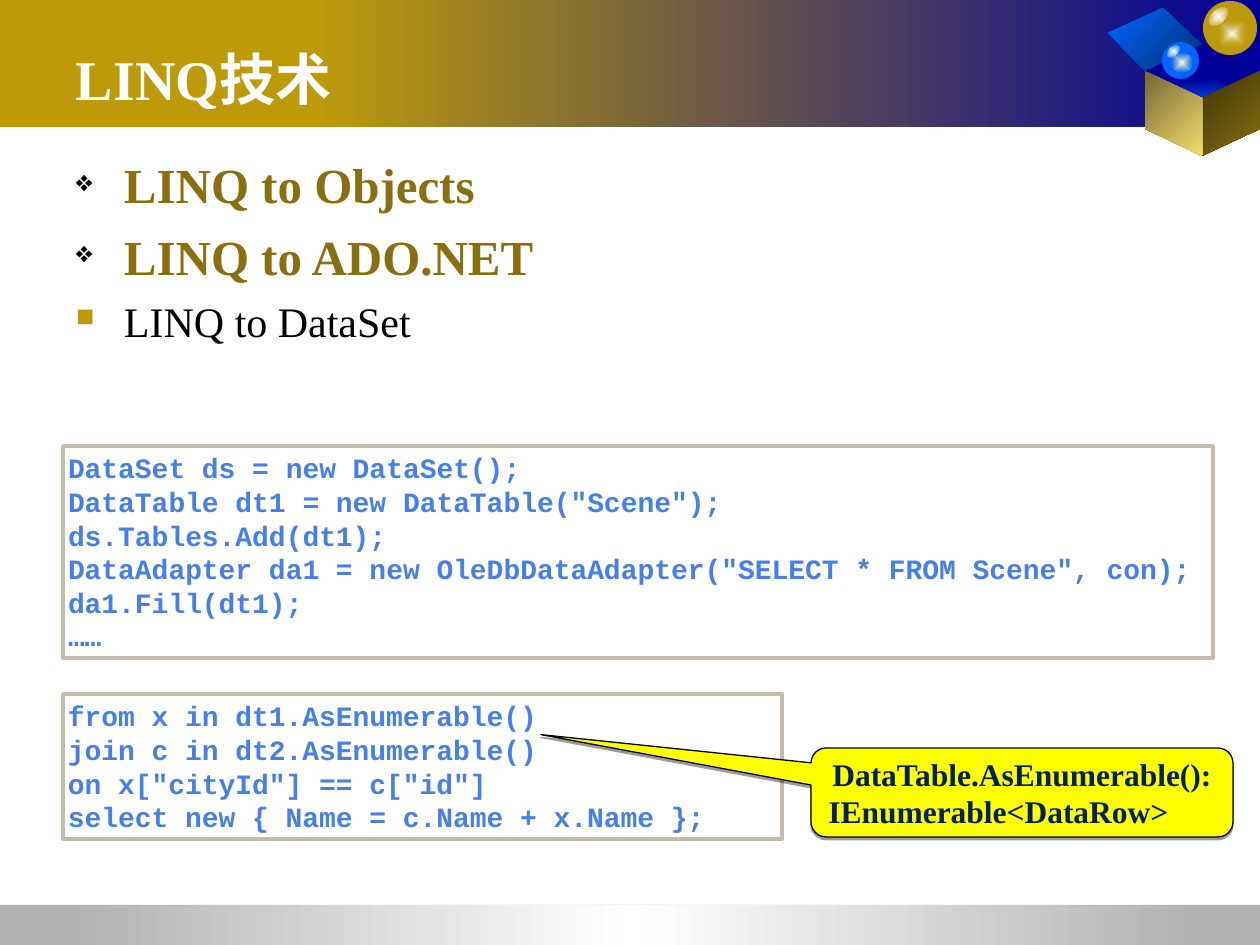
from lxml.etree import SubElement
from pptx import Presentation
from pptx.dml.color import RGBColor
from pptx.enum.shapes import MSO_SHAPE
from pptx.enum.text import MSO_ANCHOR, PP_ALIGN
from pptx.oxml.ns import qn
from pptx.util import Pt

SCALE = 914400 / 126
SERIF, MONO = "Times New Roman", "Courier New"
WHITE = RGBColor(0xFF, 0xFF, 0xFF)
BLACK = RGBColor(0x00, 0x00, 0x00)
GREY = RGBColor(0xB2, 0xB2, 0xB2)
GOLD = RGBColor(0xBC, 0x9A, 0x0A)
BRONZE = RGBColor(0x89, 0x6F, 0x0F)
UMBER = RGBColor(0x3F, 0x33, 0x07)
OLIVE = RGBColor(0x72, 0x66, 0x32)
CREAM = RGBColor(0xF7, 0xDD, 0x6D)
NAVY = RGBColor(0x00, 0x00, 0x99)
BLUE = RGBColor(0x00, 0x66, 0xFF)
DEEP = RGBColor(0x00, 0x2F, 0x76)
INK = RGBColor(0x00, 0x20, 0x60)
CODE = RGBColor(0x45, 0x7F, 0xE7)
TAUPE = RGBColor(0xC4, 0xBB, 0xAA)
YELLOW = RGBColor(0xFF, 0xFF, 0x00)


def px(n):
    return round(n * SCALE)


def node(root, tag, **attrs):
    return SubElement(root, qn(tag), {k: str(v) for k, v in attrs.items()})


class Painter:
    def __init__(self, slide):
        self.slide = slide
        self.shapes = slide.shapes

    def paint(self, shape, fill, line=None, width=1):
        shape.shadow.inherit = False
        if isinstance(fill, RGBColor):
            shape.fill.solid()
            shape.fill.fore_color.rgb = fill
        else:
            self.blend(shape, *fill)
        if line is None:
            shape.line.fill.background()
        else:
            shape.line.color.rgb = line
            shape.line.width = Pt(width)
        return shape

    def blend(self, shape, colors, angle=None, fade=False):
        shape.fill.background()
        props = shape._element.spPr
        grad = node(props, "a:gradFill", rotWithShape=1)
        props.replace(props.find(qn("a:noFill")), grad)
        stops = node(grad, "a:gsLst")
        last = len(colors) - 1
        for i, color in enumerate(colors):
            stop = node(stops, "a:gs", pos=100000 * i // last)
            tone = node(stop, "a:srgbClr", val=color)
            if fade and i == last:
                node(tone, "a:alpha", val=0)
        if angle is None:
            route = node(grad, "a:path", path="rect")
            node(route, "a:fillToRect", l=50000, t=50000, r=50000, b=50000)
        else:
            node(grad, "a:lin", ang=angle * 60000, scaled=0)

    def form(self, kind, box, fill, line=None, width=1, turn=0):
        shape = self.shapes.add_shape(kind, *map(px, box))
        shape.rotation = turn
        return self.paint(shape, fill, line, width)

    def rect(self, box, fill):
        return self.form(MSO_SHAPE.RECTANGLE, box, fill)

    def disc(self, box, fill, turn=0):
        return self.form(MSO_SHAPE.OVAL, box, fill, turn=turn)

    def poly(self, points, fill):
        build = self.shapes.build_freeform(*points[0], scale=SCALE)
        build.add_line_segments(points[1:], close=True)
        return self.paint(build.convert_to_shape(), fill)

    def ball(self, box, glow, shine, color, tint):
        self.disc(box, color)
        self.disc(glow, ((WHITE, tint), None, True))
        self.disc(shine, ((WHITE, color),), 317.2)

    def label(self, shape, lines, font, size, color, bold=True, pad=5, side=5):
        frame = shape.text_frame
        frame.word_wrap = True
        frame.vertical_anchor = MSO_ANCHOR.TOP
        frame.margin_left = frame.margin_right = px(side)
        frame.margin_top = frame.margin_bottom = px(pad)
        frame.text = "\n".join(lines)
        for para in frame.paragraphs:
            para.alignment = PP_ALIGN.LEFT
            for run in para.runs:
                self.style(run.font, font, size, color, bold)
        return frame

    def style(self, face, font, size, color, bold):
        face.name = font
        face.size = Pt(size)
        face.color.rgb = color
        face.bold = bold

    def text(self, box, lines, size, color):
        shape = self.shapes.add_textbox(*map(px, box))
        return self.label(shape, lines, SERIF, size, color, pad=6, side=13)

    def bullet(self, para, mark, color):
        props = para._p.get_or_add_pPr()
        props.set("marL", str(px(48)))
        props.set("indent", str(px(-48)))
        node(node(props, "a:buClr"), "a:srgbClr", val=color)
        node(props, "a:buSzPct", val=60000)
        node(props, "a:buChar", char=mark)

    def items(self, box, rows):
        frame = self.text(box, [row[0] for row in rows], 28, BRONZE)
        for i, (para, row) in enumerate(zip(frame.paragraphs, rows)):
            words, mark, tint, size, color, bold = row
            self.bullet(para, mark, tint)
            if i:
                para.space_before = Pt(size / 4)
            self.style(para.runs[0].font, SERIF, size, color, bold)

    def code(self, box, lines):
        shape = self.form(MSO_SHAPE.RECTANGLE, box, WHITE, TAUPE, 2)
        self.label(shape, lines, MONO, 16, CODE)

    def callout(self, box, tip, lines):
        shape = self.form(MSO_SHAPE.ROUNDED_RECTANGULAR_CALLOUT, box, YELLOW, BLACK, 0.75)
        for i, value in enumerate(tip):
            shape.adjustments[i] = value
        effect = shape._element.spPr.find(qn("a:effectLst"))
        shade = node(effect, "a:outerShdw", blurRad=0, dist=Pt(1.6), dir=5400000, rotWithShape=0)
        node(node(shade, "a:srgbClr", val=BLACK), "a:alpha", val=38000)
        frame = self.label(shape, lines, SERIF, 18, INK)
        frame.vertical_anchor = MSO_ANCHOR.MIDDLE
        frame.paragraphs[0].alignment = PP_ALIGN.CENTER
        frame.paragraphs[1].alignment = PP_ALIGN.JUSTIFY


def main():
    deck = Presentation()
    deck.slide_width, deck.slide_height = px(1260), px(945)
    art = Painter(deck.slides.add_slide(deck.slide_layouts[6]))

    art.rect((0, 0, 791, 127), GOLD)
    art.rect((0, 905, 1260, 40), GREY)
    art.rect((68, 905, 1130, 40), ((GREY, WHITE, GREY), 0))
    art.rect((315, 0, 945, 127), ((GOLD, NAVY), 0))

    art.poly([(1145, 71), (1202, 45), (1163, 8), (1108, 33)], ((BLUE, DEEP), 45))
    art.poly([(1203, 44), (1260, 71), (1203, 98), (1145, 71)], NAVY)
    art.disc((1167, 78, 72, 72), ((BLUE, NAVY),))
    for edge, fill in ((1260, (UMBER, BRONZE)), (1145, (OLIVE, CREAM))):
        art.poly([(1202, 98), (1202, 156), (edge, 129), (edge, 71)], (fill, 45))
    art.ball((1162, 42, 37, 37), (1172, 53, 20, 20), (1166, 47, 15, 9), BLUE, CREAM)
    art.ball((1203, 1, 54, 54), (1217, 19, 30, 29), (1207, 10, 23, 13), GOLD, GOLD)

    art.text((63, 38, 1134, 158), ["LINQ技术"], 32, WHITE)
    art.items((63, 149, 1068, 265), [
        ("LINQ to Objects", "❖", BLACK, 28, BRONZE, True),
        ("LINQ to ADO.NET", "❖", BLACK, 28, BRONZE, True),
        ("LINQ to DataSet", "■", GOLD, 24, BLACK, False),
    ])
    art.code((63, 694, 719, 145), [
        "from x in dt1.AsEnumerable()",
        "join c in dt2.AsEnumerable()",
        'on x["cityId"] == c["id"]',
        "select new { Name = c.Name + x.Name };",
    ])
    art.code((63, 446, 1150, 212), [
        "DataSet ds = new DataSet();",
        'DataTable dt1 = new DataTable("Scene");',
        "ds.Tables.Add(dt1);",
        'DataAdapter da1 = new OleDbDataAdapter("SELECT * FROM Scene", con);',
        "da1.Fill(dt1);",
        "……",
    ])
    art.callout((811, 748, 422, 89), (-1.14, -0.65, 0.17),
                ["DataTable.AsEnumerable():", " IEnumerable<DataRow>"])
    deck.save("out.pptx")


if __name__ == "__main__":
    main()
